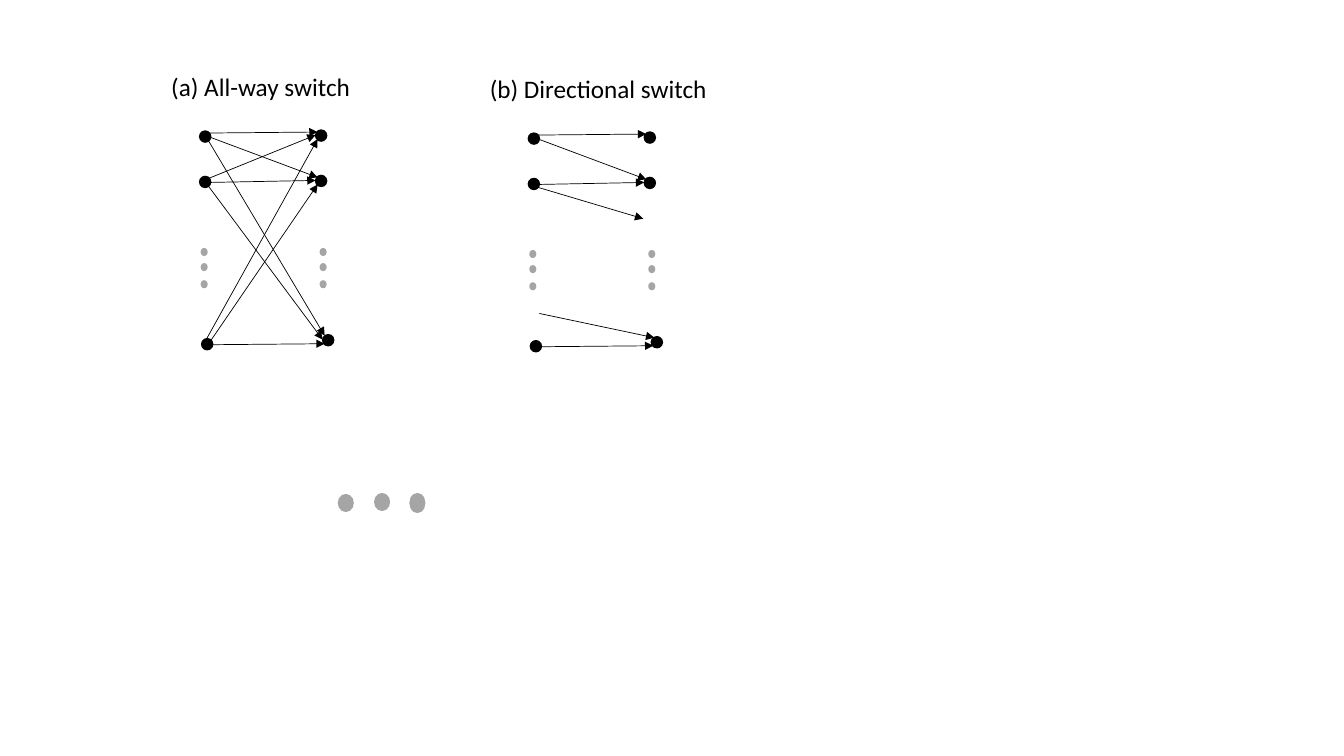
from dataclasses import dataclass

from pptx import Presentation
from pptx.dml.color import RGBColor
from pptx.enum.shapes import MSO_CONNECTOR, MSO_SHAPE
from pptx.enum.text import MSO_AUTO_SIZE
from pptx.oxml.ns import qn
from pptx.util import Inches, Pt
from lxml import etree

OVAL = MSO_SHAPE.OVAL
STRAIGHT = MSO_CONNECTOR.STRAIGHT
FIT_SHAPE = MSO_AUTO_SIZE.SHAPE_TO_FIT_TEXT


@dataclass(frozen=True)
class Theme:
    ink: RGBColor = RGBColor(0, 0, 0)
    grey: RGBColor = RGBColor(0xA5, 0xA5, 0xA5)
    font: str = "Calibri"
    label: Pt = Pt(18)
    outline: Pt = Pt(1)
    arrow: Pt = Pt(0.5)


THEME = Theme()

# All positions are columns and rows of this grid.
CELL = Inches(0.01)
NODE = 11

# Panel positions are measured from the corner of the top left node.
LEFT_NODES = [(0, 0), (0, 45), (2, 206)]
RIGHT_NODES = [(115, -1), (115, 44), (122, 202)]
DOT_COLUMNS = [1, 119]
DOT_ROWS = [116, 131, 148]
STRAIGHT_ARROWS = [(9, 2, 117, 1), (10, 51, 115, 49), (13, 212, 124, 211)]
STEP_DOWN = (10, 6, 117, 46)
ALL_WAY_ARROWS = [
    STEP_DOWN,
    (7, 206, 117, 8),
    (9, 10, 124, 203),
    (9, 47, 115, 4),
    (9, 55, 122, 207),
    (11, 208, 117, 53),
]
DIRECTIONAL_ARROWS = [STEP_DOWN, (10, 54, 114, 85), (11, 179, 125, 203)]


def grid(*cells):
    return [round(c * CELL) for c in cells]


def add_oval(shapes, x, y, w, h, color, outline=None):
    s = shapes.add_shape(OVAL, *grid(x, y, w, h))
    s.shadow.inherit = False
    s.fill.solid()
    s.fill.fore_color.rgb = color
    if outline:
        s.line.color.rgb = color
        s.line.width = outline
    else:
        s.line.fill.background()


def add_arrow(shapes, x1, y1, x2, y2):
    s = shapes.add_connector(STRAIGHT, *grid(x1, y1, x2, y2))
    s.line.color.rgb = THEME.ink
    s.line.width = THEME.arrow
    etree.SubElement(s.line._get_or_add_ln(), qn("a:tailEnd"), type="triangle")
    etree.SubElement(s._element.spPr, qn("a:effectLst"))


def add_text(shapes, text, x, y, w, h, size=THEME.label, color=THEME.ink):
    tf = shapes.add_textbox(*grid(x, y, w, h)).text_frame
    tf.word_wrap = True
    tf.auto_size = FIT_SHAPE
    r = tf.paragraphs[0].add_run()
    r.text = text
    r.font.name = THEME.font
    r.font.size = size
    r.font.color.rgb = color


def add_dots(shapes, dots):
    """Group grey dots, each given as left, top, width and height."""
    group = shapes.add_group_shape()
    for dot in dots:
        add_oval(group.shapes, *dot, THEME.grey)


def add_switch(shapes, x, y, title, title_x, title_w, arrows):
    def add_side(nodes, dot_column):
        for dx, dy in nodes:
            add_oval(shapes, x + dx, y + dy, NODE, NODE, THEME.ink, THEME.outline)
        add_dots(shapes, [(x + dot_column, y + row, 7, 8) for row in DOT_ROWS])

    def add_arrows(ends):
        for x1, y1, x2, y2 in ends:
            add_arrow(shapes, x + x1, y + y1, x + x2, y + y2)

    add_side(LEFT_NODES, DOT_COLUMNS[0])
    add_arrows(STRAIGHT_ARROWS)
    add_side(RIGHT_NODES, DOT_COLUMNS[1])
    add_arrows(arrows)
    add_text(shapes, title, title_x, y - 64, title_w, 40)


def main():
    prs = Presentation()
    prs.slide_width, prs.slide_height = Inches(13.33), Inches(7.5)
    shapes = prs.slides.add_slide(prs.slide_layouts[6]).shapes
    add_switch(shapes, 198, 130, "(a) All-way switch", 160, 234, ALL_WAY_ARROWS)
    add_switch(shapes, 524, 132, "(b) Directional switch", 476, 246, DIRECTIONAL_ARROWS)
    add_dots(shapes, [(335, 490, 16, 18), (371, 489, 16, 18), (406, 489, 16, 20)])
    prs.save("out.pptx")


if __name__ == "__main__":
    main()
